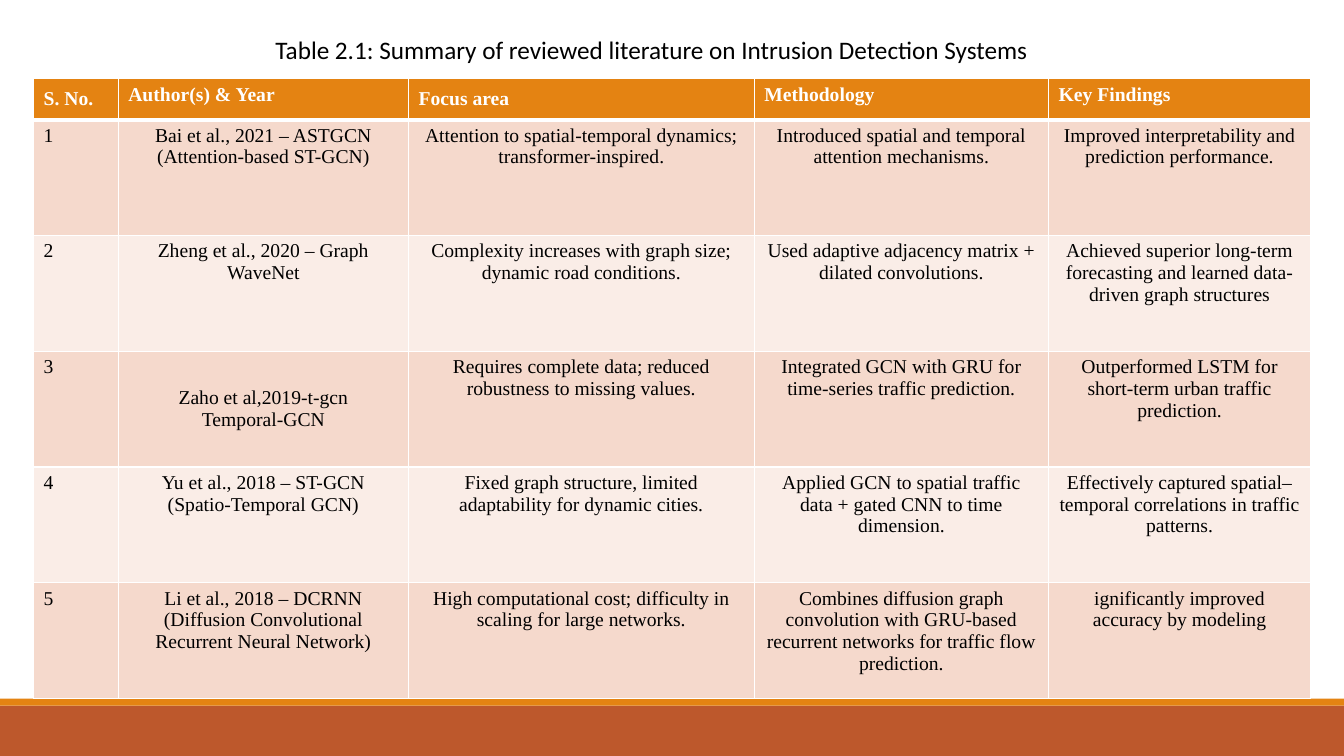
import pptx
import pptx.util
import pptx.dml.color
import pptx.enum.shapes
import pptx.enum.text
import pptx.oxml.ns
from dataclasses import dataclass
from lxml import etree

Pt = pptx.util.Pt
Align = pptx.enum.text.PP_ALIGN
Anchor = pptx.enum.text.MSO_ANCHOR


@dataclass(frozen=True)
class Theme:
    rust: str = "BD582C"
    orange: str = "E48312"
    white: str = "FFFFFF"
    black: str = "000000"
    bands: tuple = ("F5D9CC", "FAEDE7")
    title_font: str = "Calibri"
    table_font: str = "Times New Roman"
    title_size: int = 18
    table_size: int = 14


THEME = Theme()
WIDTH, HEIGHT = 960, 540
COLS = (60.48, 207.36, 246.96, 210.24, 187.2)
HEAD_ROW, BODY_ROW = 29.3, 82.7
THIN, THICK = 1, 3

TITLE = "Table 2.1: Summary of reviewed literature on Intrusion Detection Systems"
HEADS = ("S. No.", "Author(s) & Year", "Focus area", "Methodology", "Key Findings")
STUDIES = (
    ("Bai et al., 2021 – ASTGCN (Attention-based ST-GCN)",
     "Attention to spatial-temporal dynamics; transformer-inspired.",
     "Introduced spatial and temporal attention mechanisms.",
     "Improved interpretability and prediction performance."),
    ("Zheng et al., 2020 – Graph WaveNet",
     "Complexity increases with graph size; dynamic road conditions.",
     "Used adaptive adjacency matrix + dilated convolutions.",
     "Achieved superior long-term forecasting and learned data-driven graph structures"),
    ("Zaho et al,2019-t-gcn\nTemporal-GCN",
     "Requires complete data; reduced robustness to missing values.",
     "Integrated GCN with GRU for time-series traffic prediction.",
     "Outperformed LSTM for short-term urban traffic prediction."),
    ("Yu et al., 2018 – ST-GCN (Spatio-Temporal GCN)",
     "Fixed graph structure, limited adaptability for dynamic cities.",
     "Applied GCN to spatial traffic data + gated CNN to time dimension.",
     "Effectively captured spatial–temporal correlations in traffic patterns."),
    ("Li et al., 2018 – DCRNN (Diffusion Convolutional Recurrent Neural Network)",
     "High computational cost; difficulty in scaling for large networks.",
     "Combines diffusion graph convolution with GRU-based recurrent networks "
     "for traffic flow prediction.",
     "ignificantly improved accuracy by modeling"),
)
# Cells (row, column) whose text sits in the middle
MIDDLE = {(0, 0), (0, 2), (3, 1)}


def rgb(color):
    return pptx.dml.color.RGBColor.from_string(color)


def write(frame, text, font, size, color, align, bold=False):
    frame.text = text
    for para in frame.paragraphs:
        para.alignment = align
        for run in para.runs:
            run.font.name = font
            run.font.size = Pt(size)
            run.font.bold = bold
            run.font.color.rgb = rgb(color)


def add_bar(slide, top, height, color):
    bar = slide.shapes.add_shape(
        pptx.enum.shapes.MSO_SHAPE.RECTANGLE, 0, Pt(top), Pt(WIDTH), Pt(height))
    bar.shadow.inherit = False
    bar.fill.solid()
    bar.fill.fore_color.rgb = rgb(color)
    bar.line.fill.background()


def add_title(slide):
    box = slide.shapes.add_textbox(Pt(43.2), Pt(20.9), Pt(844.6), Pt(29))
    box.text_frame.word_wrap = True
    write(box.text_frame, TITLE, THEME.title_font, THEME.title_size,
          THEME.black, Align.CENTER)


def set_edges(cell, top, bottom):
    props = cell._tc.get_or_add_tcPr()
    qn = pptx.oxml.ns.qn
    for side, width in (("L", THIN), ("R", THIN), ("T", top), ("B", bottom)):
        line = etree.SubElement(props, qn("a:ln" + side), w=str(int(Pt(width))))
        fill = etree.SubElement(line, qn("a:solidFill"))
        etree.SubElement(fill, qn("a:srgbClr"), val=THEME.white)


def fill_cell(cell, row, col, text):
    head = row == 0
    set_edges(cell, THICK if row == 1 else THIN, THICK if head else THIN)
    cell.fill.solid()
    cell.fill.fore_color.rgb = rgb(
        THEME.orange if head else THEME.bands[(row - 1) % 2])
    cell.vertical_anchor = Anchor.MIDDLE if (row, col) in MIDDLE else Anchor.TOP
    write(cell.text_frame, text, THEME.table_font, THEME.table_size,
          THEME.white if head else THEME.black,
          Align.LEFT if head or col == 0 else Align.CENTER, head)


def add_grid(slide):
    rows = [HEADS] + [(str(num), *study) for num, study in enumerate(STUDIES, 1)]
    high = HEAD_ROW + BODY_ROW * len(STUDIES)
    table = slide.shapes.add_table(
        len(rows), len(COLS), Pt(24), Pt(56.2), Pt(sum(COLS)), Pt(high)).table
    for col, width in enumerate(COLS):
        table.columns[col].width = Pt(width)
    for row, texts in enumerate(rows):
        table.rows[row].height = Pt(BODY_ROW if row else HEAD_ROW)
        for col, text in enumerate(texts):
            fill_cell(table.cell(row, col), row, col, text)


def main():
    deck = pptx.Presentation()
    deck.slide_width, deck.slide_height = Pt(WIDTH), Pt(HEIGHT)
    slide = deck.slides.add_slide(deck.slide_layouts[6])
    # Footer bars
    add_bar(slide, 504, 36, THEME.rust)
    add_bar(slide, 499, 5, THEME.orange)
    # Literature table and its caption
    add_grid(slide)
    add_title(slide)
    deck.save("out.pptx")


if __name__ == "__main__":
    main()
